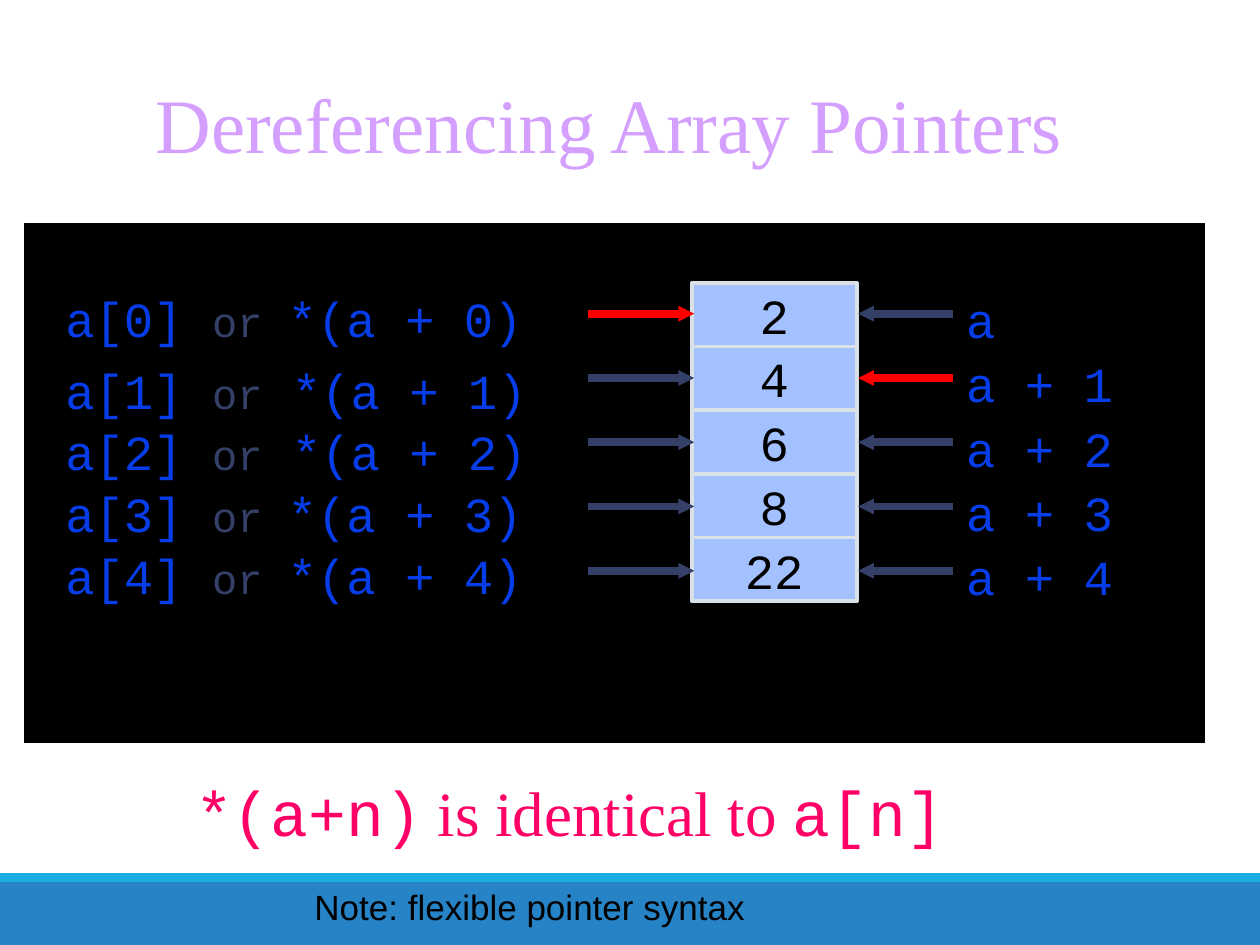
import pptx
import pptx.util
import pptx.dml.color
import pptx.enum.shapes
import pptx.enum.text
import pptx.oxml.ns
import lxml.etree

Pt = pptx.util.Pt
RECT = pptx.enum.shapes.MSO_SHAPE.RECTANGLE
LINE = pptx.enum.shapes.MSO_CONNECTOR.STRAIGHT
ALIGN = pptx.enum.text.PP_ALIGN
ANCHOR = pptx.enum.text.MSO_ANCHOR
FIT = pptx.enum.text.MSO_AUTO_SIZE.SHAPE_TO_FIT_TEXT

# Content
TITLE = "Dereferencing Array Pointers"
VALUES = [2, 4, 6, 8, 22]
NAMES = ["a", "a + 1", "a + 2", "a + 3", "a + 4"]
FORMS = [
    ("a[0] ", "or ", "*(a + 0)"),
    ("a[1] ", "or", " *(a + 1)"),
    ("a[2] ", "or", " *(a + 2)"),
    ("a[3] ", "or ", "*(a + 3)"),
    ("a[4] ", "or ", "*(a + 4)"),
]
CLAIM = ["*(a+n)", " is identical to ", "a[n]"]
NOTE = " Note: flexible pointer syntax"
HOT_LEFT, HOT_RIGHT = 0, 1  # rows whose arrow is red

THEME = {
    "mono": "Courier New", "serif": "Times New Roman", "sans": "Arial",
    "title": "D49FFF", "claim": "FF0066", "code": "063DE8", "dim": "344068",
    "hot": "FF0000", "black": "000000", "white": "FFFFFF",
    "cell": "A2C1FE", "edge": "D9E0E6", "band": "2683C6", "strip": "1CADE4",
    "title_pt": 44, "claim_pt": 36, "code_pt": 28, "or_pt": 24, "note_pt": 20,
}

# Places are percent of the slide's width and height
CELL_X, CELL_Y, CELL_W, CELL_H = 54.9, 29.93, 13.1, 6.74
ROW = 6.8
ARROW_Y = 33.2
NAME_Y = 30
FORM_Y, FORM_ROW = 30.93, 6.53
LIFT = 1.06  # the first form sits a little higher

deck = pptx.Presentation()
deck.slide_width = pptx.util.Inches(10)
deck.slide_height = pptx.util.Inches(7.5)
slide = deck.slides.add_slide(deck.slide_layouts[6])
shapes = slide.shapes


def place(x, y, *size):
    """Turn percent pairs into slide lengths."""
    wide, high = deck.slide_width / 100, deck.slide_height / 100
    return [round(v * s) for v, s in zip((x, y, *size), (wide, high) * 2)]


def tint(name):
    return pptx.dml.color.RGBColor.from_string(THEME[name])


def style(font, face, size, color):
    font.name = THEME[face]
    font.size = Pt(THEME[size])
    font.color.rgb = tint(color)


def box(spot, fill, edge=None, width=0):
    shape = shapes.add_shape(RECT, *place(*spot))
    shape.shadow.inherit = False
    shape.fill.solid()
    shape.fill.fore_color.rgb = tint(fill)
    if edge:
        shape.line.color.rgb = tint(edge)
        shape.line.width = Pt(width)
    else:
        shape.line.fill.background()
    return shape


def label(spot, runs, wrap=True, gap=0):
    """Add a text box; each run is (text, face, size, color)."""
    frame = shapes.add_textbox(*place(*spot)).text_frame
    frame.word_wrap = wrap
    frame.auto_size = FIT
    para = frame.paragraphs[0]
    para.space_before = Pt(gap)
    for text, *look in runs:
        run = para.add_run()
        run.text = text
        style(run.font, *look)
    return frame


def arrow(start, end, y, color):
    line = shapes.add_connector(LINE, *place(start, y), *place(end, y))
    line.line.color.rgb = tint(color)
    line.line.width = Pt(4.5)
    qn, sub = pptx.oxml.ns.qn, lxml.etree.SubElement
    sub(line.line._get_or_add_ln(), qn("a:tailEnd"), type="triangle", w="sm", len="sm")
    sub(line._element.spPr, qn("a:effectLst"))


box((0, 93.33, 100, 6.67), "band")
box((0, 92.4, 100, 0.93), "strip")

faces = ["mono", "serif", "mono"]
label((14.5, 81.2, 62.9, 9.33),
      [(text, face, "claim_pt", "claim") for text, face in zip(CLAIM, faces)],
      wrap=False)

head = label((5.3, 8.53, 86.1, 10), [(TITLE, "serif", "title_pt", "title")])
head.auto_size = pptx.enum.text.MSO_AUTO_SIZE.NONE
head.vertical_anchor = ANCHOR.BOTTOM
head.paragraphs[0].alignment = ALIGN.CENTER

box((1.7, 23.33, 94.2, 55.6), "black", "white", 3.5)

code = ("mono", "code_pt", "code")
for i, (value, name, form) in enumerate(zip(VALUES, NAMES, FORMS)):
    cell = box((CELL_X, CELL_Y + i * CELL_H, CELL_W, CELL_H), "cell", "edge", 2)
    frame = cell.text_frame
    frame.word_wrap = False
    frame.vertical_anchor = ANCHOR.MIDDLE
    para = frame.paragraphs[0]
    para.text = str(value)
    para.alignment = ALIGN.CENTER
    para.space_before = Pt(5.6)
    style(para.font, "mono", "code_pt", "black")

    y = ARROW_Y + i * ROW
    arrow(75.6, 68.1, y, "hot" if i == HOT_RIGHT else "dim")
    arrow(46.7, 55.1, y, "hot" if i == HOT_LEFT else "dim")

    label((75.7, NAME_Y + i * ROW, 15.8, 7.6), [(name, *code)], gap=5.6)
    left, word, right = form
    top = FORM_Y + i * FORM_ROW - (LIFT if i == 0 else 0)
    label((4.2, top, 43, 7.6),
          [(left, *code), (word, "mono", "or_pt", "dim"), (right, *code)],
          gap=5.6)

label((23.2, 93.07, 38.4, 5.73), [(NOTE, "sans", "note_pt", "black")],
      wrap=False, gap=4)

deck.save("out.pptx")
